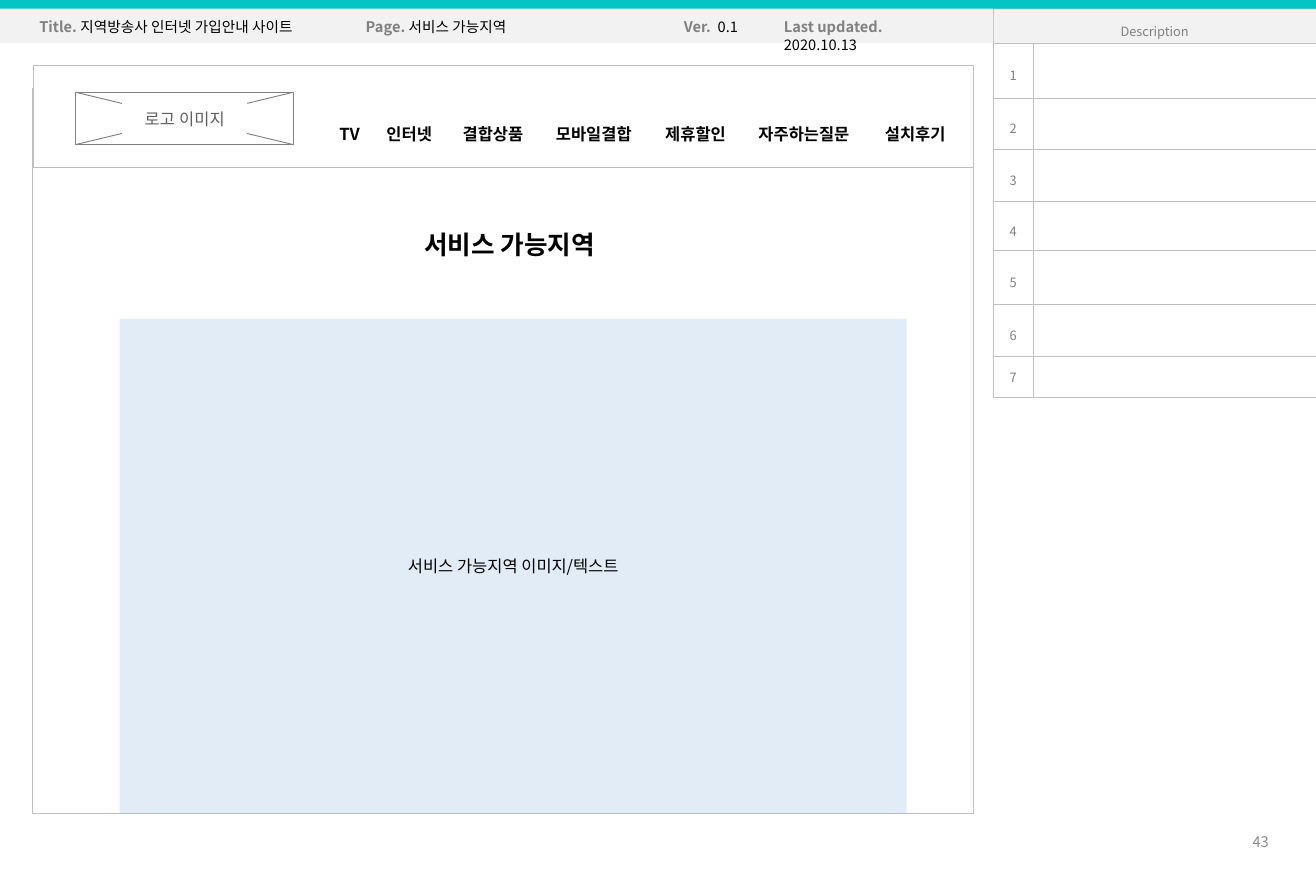
import pptx
import pptx.dml.color
import pptx.enum.shapes
import pptx.enum.text
import pptx.oxml
import pptx.oxml.ns
import pptx.util
from lxml import etree

Cm = pptx.util.Cm
Pt = pptx.util.Pt
ALIGN = pptx.enum.text.PP_ALIGN
ANCHOR = pptx.enum.text.MSO_ANCHOR
qn = pptx.oxml.ns.qn

FONT = "Noto Sans CJK KR"
COLORS = {
    "black": "000000", "white": "FFFFFF", "teal": "05C4C4", "bar": "F2F2F2",
    "border": "BFBFBF", "gray": "808080", "page": "8C8C8C", "logo": "5F5F5F",
    "content": "8EB4E3",
}
HEADER_FIELDS = [  # left, width, label, value, wraps
    (0.51, 5.92, "Title. ", "지역방송사 인터넷 가입안내 사이트", False),
    (6.81, 3.45, "Page. ", "서비스 가능지역", False),
    (12.95, 1.63, "Ver.  ", "0.1", False),
    (14.88, 3.85, "Last updated.  ", "2020.10.13", True),
]
MENU = [  # label, width
    ("TV", 0.91), ("인터넷", 1.47), ("결합상품", 1.8), ("모바일결합", 2.11),
    ("제휴할인", 1.8), ("자주하는질문", 2.44), ("설치후기", 1.8),
]
ROW_HEIGHTS = [0.67, 1.05, 1.0, 1.0, 0.95, 1.04, 1.0, 0.79]


def rgb(name):
    return pptx.dml.color.RGBColor.from_string(COLORS[name])


def format_paragraph(paragraph, size, color="black", bold=False,
                     align=ALIGN.LEFT, font_name=FONT):
    paragraph.alignment = align
    font = paragraph.font
    font.size, font.bold, font.name = Pt(size), bold, font_name
    font.color.rgb = rgb(color)
    properties = paragraph._p.pPr.find(qn("a:defRPr"))
    east_asian = etree.SubElement(properties, qn("a:ea"))
    east_asian.set("typeface", font_name)


def set_text(shape, text, size, wrap=False, anchor=ANCHOR.TOP, **style):
    frame = shape.text_frame
    frame.text = text
    frame.word_wrap = wrap
    frame.vertical_anchor = anchor
    format_paragraph(frame.paragraphs[0], size, **style)


def add_text(slide, left, top, width, height, text, size, **style):
    box = slide.shapes.add_textbox(Cm(left), Cm(top), Cm(width), Cm(height))
    set_text(box, text, size, **style)
    box.text_frame.auto_size = pptx.enum.text.MSO_AUTO_SIZE.SHAPE_TO_FIT_TEXT
    return box


def add_box(slide, left, top, width, height, fill="white", line=None):
    shape = slide.shapes.add_shape(
        pptx.enum.shapes.MSO_SHAPE.RECTANGLE,
        Cm(left), Cm(top), Cm(width), Cm(height))
    shape.shadow.inherit = False
    shape.fill.solid()
    shape.fill.fore_color.rgb = rgb(fill)
    if line:
        shape.line.color.rgb = rgb(line)
        shape.line.width = Pt(0.5)
    else:
        shape.line.fill.background()
    return shape


def add_line(slide, x1, y1, x2, y2):
    line = slide.shapes.add_connector(
        pptx.enum.shapes.MSO_CONNECTOR.STRAIGHT, Cm(x1), Cm(y1), Cm(x2), Cm(y2))
    line.line.color.rgb = rgb("gray")
    line.line.width = Pt(0.5)
    etree.SubElement(line._element.spPr, qn("a:effectLst"))


def set_borders(cell):
    properties = cell._tc.get_or_add_tcPr()
    for index, side in enumerate(("lnL", "lnR", "lnT", "lnB")):
        border = pptx.oxml.parse_xml(
            f'<a:{side} {pptx.oxml.ns.nsdecls("a")} w="6350"><a:solidFill>'
            f'<a:srgbClr val="{COLORS["border"]}"/></a:solidFill></a:{side}>')
        properties.insert(index, border)


def add_description_table(slide):
    count = len(ROW_HEIGHTS)
    table = slide.shapes.add_table(
        count, 2, Cm(19.17), Cm(0.17), Cm(6.23), Cm(sum(ROW_HEIGHTS))).table
    table.first_row = table.horz_banding = False
    table.columns[0].width, table.columns[1].width = Cm(0.77), Cm(5.46)
    for index, height in enumerate(ROW_HEIGHTS):
        table.rows[index].height = Cm(height)
        for column, text in enumerate((str(index) if index else "Description", "")):
            cell = table.cell(index, column)
            cell.text = text
            cell.margin_left = cell.margin_right = 0
            cell.margin_top = cell.margin_bottom = 0
            cell.vertical_anchor = ANCHOR.MIDDLE
            cell.fill.solid()
            cell.fill.fore_color.rgb = rgb("white" if index else "bar")
            set_borders(cell)
            paragraph = cell.text_frame.paragraphs[0]
            if index < count - 1:
                paragraph.line_spacing = 1.5
            format_paragraph(paragraph, 7, "gray", align=ALIGN.CENTER)
    table.cell(0, 0).merge(table.cell(0, 1))


def add_header(slide):
    add_box(slide, 0, 0.05, 19.17, 0.79, "bar")
    add_box(slide, 0, 0, 25.4, 0.17, "teal")
    for left, width, label, value, wrap in HEADER_FIELDS:
        box = add_text(slide, left, 0.23, width, 0.61, label, 8, wrap=wrap)
        paragraph = box.text_frame.paragraphs[0]
        label_font = paragraph.runs[0].font
        label_font.bold = True
        label_font.color.rgb = rgb("gray")
        paragraph.add_run().text = value


def add_title(slide):
    title = slide.shapes.title
    title.left, title.top, title.width, title.height = Cm(7.75), Cm(4.29), Cm(4.17), Cm(0.86)
    set_text(title, "서비스 가능지역", 14, bold=True, align=ALIGN.CENTER)
    # Bring the title in front of the page frame
    title._element.getparent().append(title._element)


def add_content_area(slide):
    area = add_box(slide, 2.31, 6.15, 15.19, 9.55, "content")
    color = area.fill._xPr.find(qn("a:solidFill"))[0]
    etree.SubElement(color, qn("a:alpha")).set("val", "25000")
    set_text(area, "서비스 가능지역 이미지/텍스트", 9, wrap=True,
             anchor=ANCHOR.MIDDLE, align=ALIGN.CENTER)


def add_navigation(slide):
    add_box(slide, 0.64, 1.26, 18.15, 1.97, line="border")
    # Logo placeholder with crossed diagonals
    left, top, width, height = 1.46, 1.78, 4.2, 1.01
    right, bottom = left + width, top + height
    add_box(slide, left, top, width, height, line="gray")
    add_line(slide, left, bottom, right, top)
    add_line(slide, left, top, right, bottom)
    label = add_box(slide, 2.36, 1.95, 2.41, 0.69)
    set_text(label, "로고 이미지", 9, anchor=ANCHOR.MIDDLE, color="logo",
             align=ALIGN.CENTER, font_name="Lato")
    # Menu items follow one another
    left = 6.3
    for text, width in MENU:
        add_text(slide, left, 2.26, width, 0.64, text, 9, bold=True)
        left += width


def main():
    presentation = pptx.Presentation()
    presentation.slide_width, presentation.slide_height = Cm(25.4), Cm(17)
    slide = presentation.slides.add_slide(presentation.slide_layouts[5])

    # Page frame and side panel
    add_box(slide, 0.63, 1.7, 18.16, 14, line="border")
    add_text(slide, 23.7, 15.93, 1.04, 0.64, "43", 8, wrap=True,
             anchor=ANCHOR.MIDDLE, color="page", align=ALIGN.RIGHT)
    add_description_table(slide)

    # Header and page content
    add_header(slide)
    add_title(slide)
    add_content_area(slide)
    add_navigation(slide)
    presentation.save("out.pptx")


if __name__ == "__main__":
    main()
